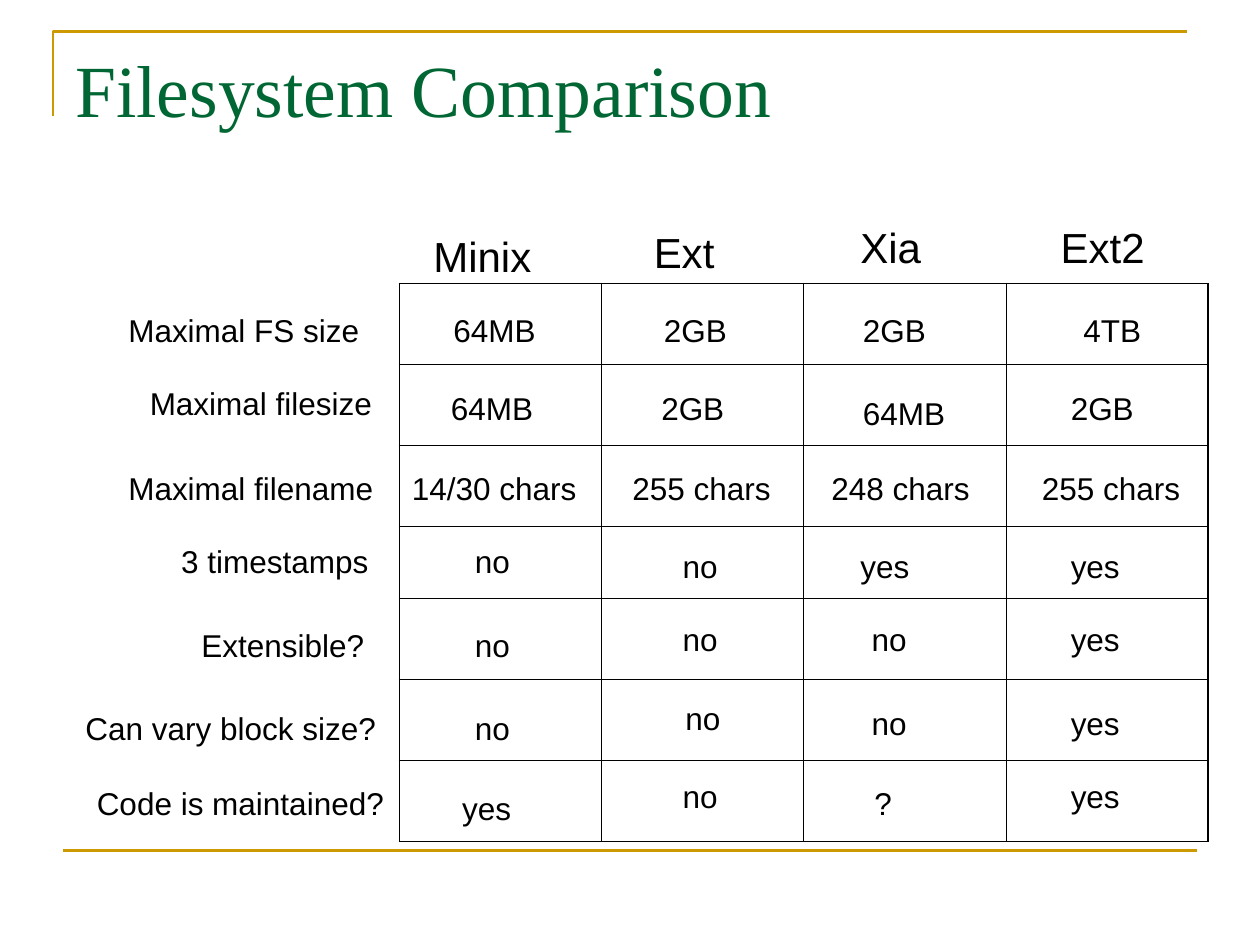
from dataclasses import dataclass
from lxml.etree import SubElement
from pptx import Presentation
from pptx.dml.color import RGBColor
from pptx.enum.shapes import MSO_CONNECTOR
from pptx.enum.text import MSO_ANCHOR, MSO_AUTO_SIZE
from pptx.oxml.ns import qn
from pptx.util import Inches, Pt


@dataclass(frozen=True)
class Theme:
    gold: str = "CC9900"
    green: str = "006633"
    black: str = "000000"
    title_font: str = "Times New Roman"
    body_font: str = "Arial"
    title_size: int = 42
    header_size: int = 24
    label_size: int = 18
    rule: float = 1.5
    outer_border: float = 1.08
    inner_border: float = 0.45


LABEL_WIDTHS = {
    "Minix": 1.02, "Ext": 0.72, "Xia": 0.72, "Ext2": 0.9,
    "Maximal FS size": 2.08, "Maximal filesize": 2.01, "Maximal filename": 2.19,
    "3 timestamps": 1.73, "Extensible?": 1.54, "Can vary block size?": 2.55,
    "Code is maintained?": 2.53, "64MB": 0.89, "2GB": 0.74, "4TB": 0.7,
    "14/30 chars": 1.55, "255 chars": 1.34, "248 chars": 1.34,
    "no": 0.52, "yes": 0.63, "?": 0.38,
}

HEADERS = [("Minix", 3.34, 1.78), ("Ext", 5.09, 1.75), ("Xia", 6.73, 1.71), ("Ext2", 8.32, 1.71)]

ROWS = [
    [("Maximal FS size", 0.92, 2.42), ("64MB", 3.5, 2.42), ("2GB", 5.17, 2.42),
     ("2GB", 6.75, 2.42), ("4TB", 8.5, 2.42)],
    [("Maximal filesize", 1.09, 3), ("64MB", 3.48, 3.04), ("2GB", 5.15, 3.04),
     ("64MB", 6.75, 3.08), ("2GB", 8.4, 3.04)],
    [("Maximal filename", 0.92, 3.67), ("14/30 chars", 3.17, 3.67), ("255 chars", 4.92, 3.67),
     ("248 chars", 6.5, 3.67), ("255 chars", 8.17, 3.67)],
    [("3 timestamps", 1.34, 4.25), ("no", 3.67, 4.25), ("no", 5.32, 4.29),
     ("yes", 6.73, 4.29), ("yes", 8.4, 4.29)],
    [("Extensible?", 1.5, 4.92), ("no", 3.67, 4.92), ("no", 5.32, 4.87),
     ("no", 6.82, 4.87), ("yes", 8.4, 4.87)],
    [("Can vary block size?", 0.58, 5.58), ("no", 3.67, 5.58), ("no", 5.34, 5.5),
     ("no", 6.82, 5.54), ("yes", 8.4, 5.54)],
    [("Code is maintained?", 0.67, 6.17), ("yes", 3.57, 6.21), ("no", 5.32, 6.12),
     ("?", 6.84, 6.17), ("yes", 8.4, 6.12)],
]


class PageBuilder:
    def __init__(self, page, theme):
        self.page = page
        self.theme = theme

    def style_rule(self, shape):
        shape.line.color.rgb = RGBColor.from_string(self.theme.gold)
        shape.line.width = Pt(self.theme.rule)

    def corner(self, left, top, right, bottom):
        builder = self.page.shapes.build_freeform(Inches(left), Inches(bottom))
        builder.add_line_segments([(Inches(left), Inches(top)), (Inches(right), Inches(top))], close=False)
        shape = builder.convert_to_shape()
        shape.shadow.inherit = False
        shape.fill.background()
        self.style_rule(shape)

    def rule(self, left, right, top):
        line = self.page.shapes.add_connector(
            MSO_CONNECTOR.STRAIGHT, Inches(left), Inches(top), Inches(right), Inches(top))
        SubElement(line._element.spPr, qn("a:effectLst"))
        self.style_rule(line)

    def text(self, words, left, top, width, height, color, font_values, frame_values):
        box = self.page.shapes.add_textbox(Inches(left), Inches(top), Inches(width), Inches(height))
        frame = box.text_frame
        span = frame.paragraphs[0].add_run()
        span.text = words
        for target, values in ((frame, frame_values), (span.font, font_values)):
            for name, value in values.items():
                setattr(target, name, value)
        span.font.color.rgb = RGBColor.from_string(color)

    def title(self, words):
        self.text(words, 0.5, 0.3, 9, 1.25, self.theme.green,
                  {"name": self.theme.title_font, "size": Pt(self.theme.title_size)},
                  {"word_wrap": True, "vertical_anchor": MSO_ANCHOR.TOP})

    def label(self, words, left, top, size, height):
        self.text(words, left, top, LABEL_WIDTHS[words], height, self.theme.black,
                  {"name": self.theme.body_font, "size": Pt(size)},
                  {"word_wrap": False, "auto_size": MSO_AUTO_SIZE.SHAPE_TO_FIT_TEXT})

    def border(self, cell, side, width):
        line = SubElement(cell._tc.get_or_add_tcPr(), qn(f"a:{side}"), w=str(Pt(width)))
        fill = SubElement(line, qn("a:solidFill"))
        SubElement(fill, qn("a:srgbClr"), val=self.theme.black)

    def grid(self, left, top, width, row_heights, columns):
        rows = len(row_heights)
        table = self.page.shapes.add_table(
            rows, columns, Inches(left), Inches(top), Inches(width), Inches(sum(row_heights))).table
        table.first_row = table.horz_banding = False
        for column in table.columns:
            column.width = Inches(width / columns)
        for index, height in enumerate(row_heights):
            table.rows[index].height = Inches(height)
            for position in range(columns):
                cell = table.cell(index, position)
                outer = {"lnL": position == 0, "lnR": position == columns - 1,
                         "lnT": index == 0, "lnB": index == rows - 1}
                for side, is_outer in outer.items():
                    self.border(cell, side, self.theme.outer_border if is_outer else self.theme.inner_border)
                cell.fill.background()


def main():
    deck = Presentation()
    deck.slide_width, deck.slide_height = Inches(10), Inches(7.5)
    theme = Theme()
    builder = PageBuilder(deck.slides.add_slide(deck.slide_layouts[6]), theme)
    builder.corner(0.42, 0.25, 9.42, 0.92)
    builder.rule(0.5, 9.5, 6.75)
    builder.title("Filesystem Comparison")
    tall, short = (4.43 - 0.57) / 6, 0.57
    builder.grid(3.17, 2.25, 6.42, [tall] * 3 + [short] + [tall] * 3, 4)
    for words, left, top in HEADERS:
        builder.label(words, left, top, theme.header_size, 0.5)
    for row in ROWS:
        for words, left, top in row:
            builder.label(words, left, top, theme.label_size, 0.4)
    deck.save("out.pptx")


if __name__ == "__main__":
    main()
